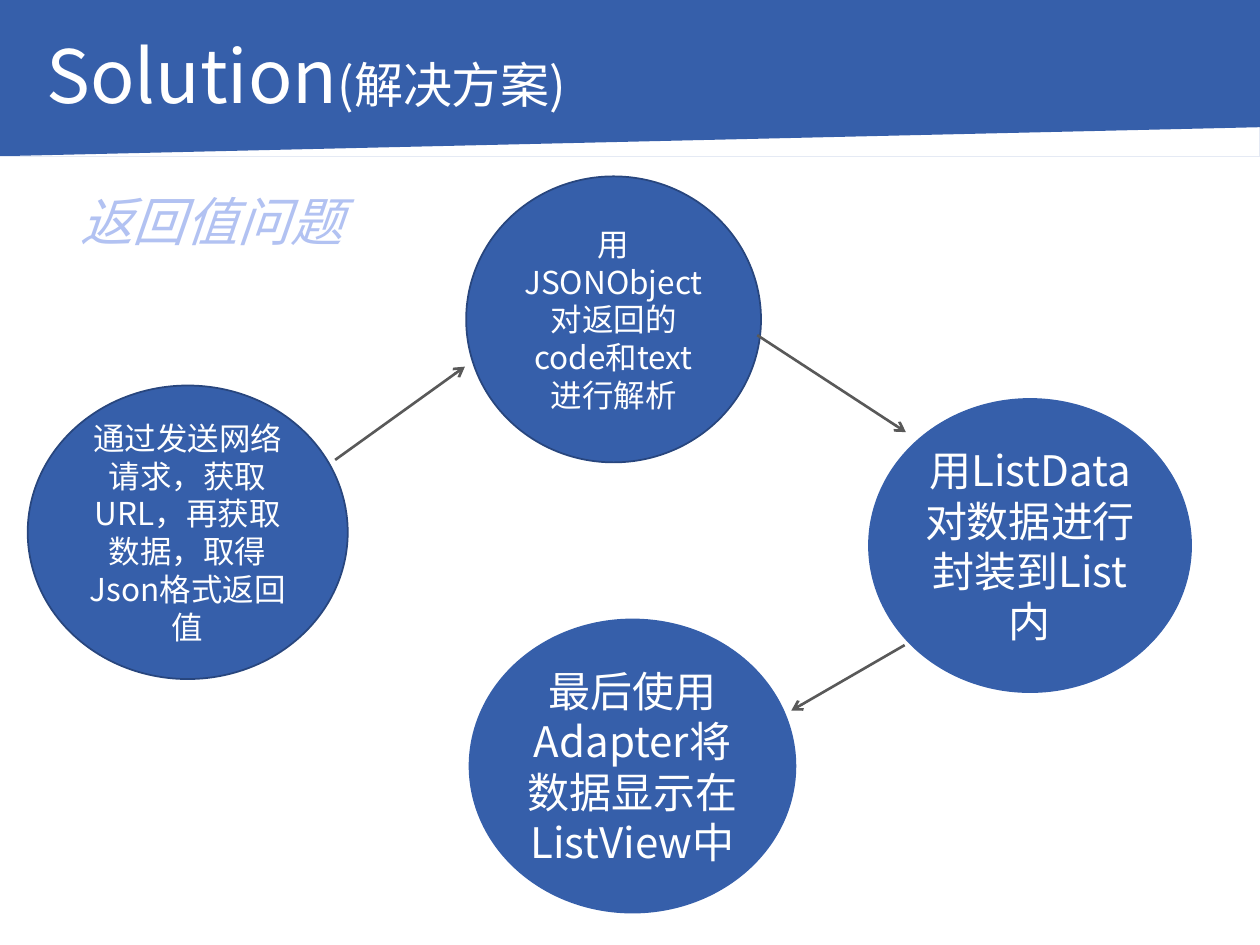
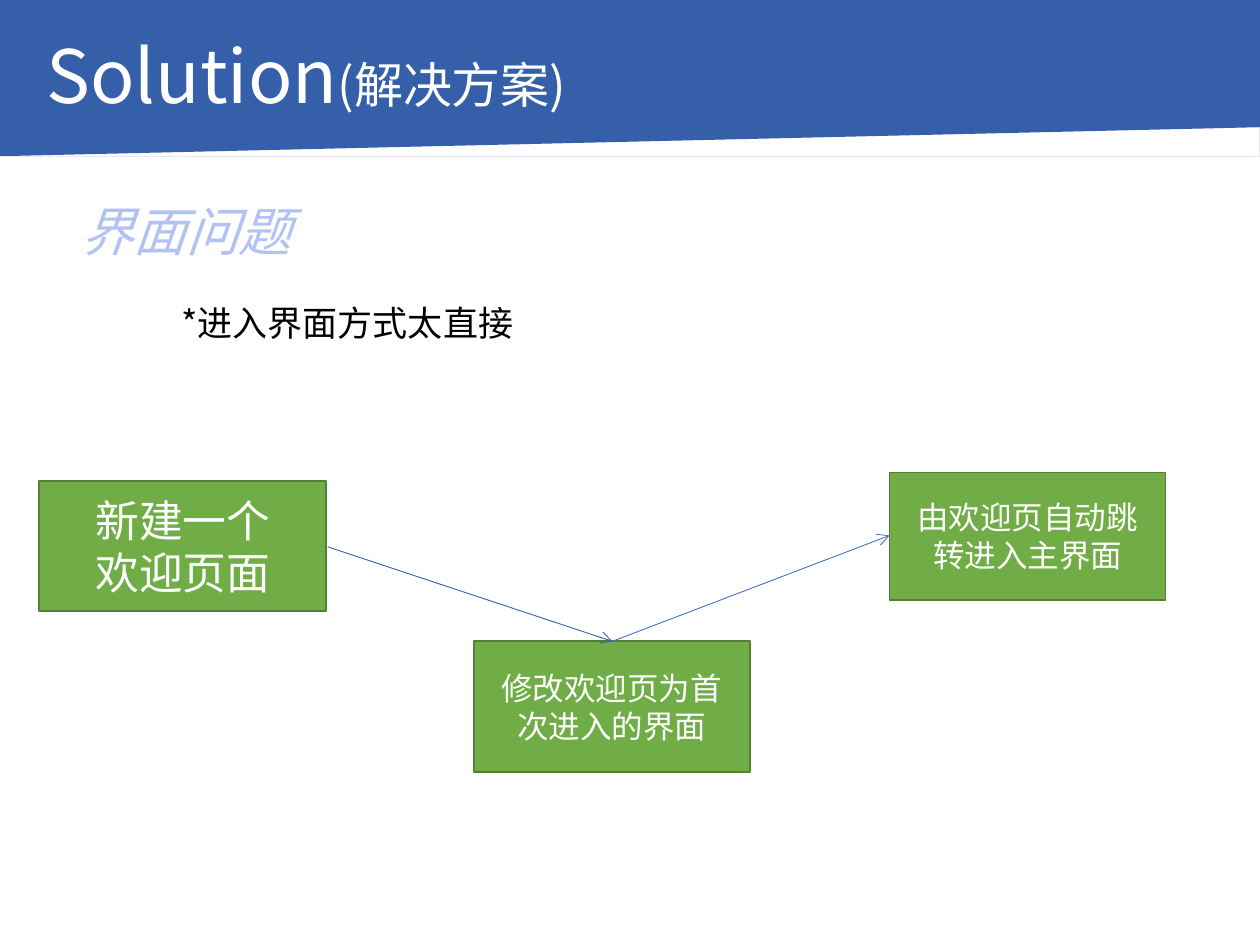
from pptx import Presentation
from pptx.dml.color import RGBColor
from pptx.enum.shapes import MSO_CONNECTOR, MSO_SHAPE
from pptx.enum.text import MSO_ANCHOR, PP_ALIGN
from pptx.oxml.ns import qn
from pptx.util import Inches, Pt
from lxml.etree import SubElement

FONT = "Noto Sans CJK SC"
BLUE = RGBColor(0x36, 0x5F, 0xAA)
DARK_BLUE = RGBColor(0x28, 0x46, 0x7E)
LINK_BLUE = RGBColor(0x44, 0x72, 0xC4)
PALE_BLUE = RGBColor(0xB2, 0xC2, 0xF2)
GREEN = RGBColor(0x70, 0xAD, 0x47)
DARK_GREEN = RGBColor(0x53, 0x80, 0x35)
GREY = RGBColor(0x59, 0x59, 0x59)
WHITE = RGBColor(0xFF, 0xFF, 0xFF)
BLACK = RGBColor(0, 0, 0)


def write(sp, paragraphs, color, align=PP_ALIGN.CENTER, italic=False):
    """Fill a shape with paragraphs, each a list of (text, size) runs."""
    tf = sp.text_frame
    tf.word_wrap = True
    for i, runs in enumerate(paragraphs):
        p = tf.add_paragraph() if i else tf.paragraphs[0]
        p.alignment = align
        for text, size in runs:
            r = p.add_run()
            r.text = text
            r.font.name, r.font.size = FONT, Pt(size)
            r.font.color.rgb = color
            r.font.italic = italic
            SubElement(r._r.rPr, qn("a:ea"), typeface=FONT)
    return tf


def add_arrow(s, start, end, color, width):
    """Draw a straight connector with an open arrowhead at its end."""
    line = s.shapes.add_connector(
        MSO_CONNECTOR.STRAIGHT, *[Inches(v) for v in (*start, *end)])
    line.line.color.rgb = color
    line.line.width = Pt(width)
    SubElement(line.line._get_or_add_ln(), qn("a:tailEnd"), type="arrow")
    SubElement(line._element.spPr, qn("a:effectLst"))


prs = Presentation()
prs.slide_width, prs.slide_height = Inches(10), Inches(7.5)

# Each node: preset, box, fill, outline, paragraphs, text inset
ellipse, rect = MSO_SHAPE.OVAL, MSO_SHAPE.RECTANGLE
slides = [
    {
        "texts": [([[("返回值问题", 30)]], (-0.7, 1.45, 4.76, 0.61),
                   PALE_BLUE, PP_ALIGN.CENTER, True)],
        "nodes": [
            (ellipse, (6.89, 3.16, 2.57, 2.34), BLUE, None,
             [[("用ListData对数据进行封装到List内", 24)]], 0),
            (ellipse, (3.72, 4.91, 2.6, 2.34), BLUE, None,
             [[("最后使用Adapter将数据显示在ListView中", 24)]], 0),
            (ellipse, (0.22, 3.06, 2.54, 2.33), BLUE, DARK_BLUE,
             [[("通过发送网络请求，获取URL，再获取数据，取得Json格式返回值", 18)]], None),
            (ellipse, (3.7, 1.4, 2.34, 2.27), BLUE, DARK_BLUE,
             [[("用JSONObject对返回的code和text进行解析", 18)]], None),
        ],
        "arrows": [
            ((2.66, 3.65), (3.69, 2.91), GREY, 1.5),
            ((6.01, 2.66), (7.19, 3.43), GREY, 1.5),
            ((7.18, 5.12), (6.28, 5.64), GREY, 1.5),
        ],
    },
    {
        "texts": [
            ([[("界面问题", 30)]], (0.54, 1.53, 1.88, 0.61),
             PALE_BLUE, PP_ALIGN.CENTER, True),
            ([[("*进入界面方式太直接", 20)]], (1.34, 2.34, 3.28, 0.44),
             BLACK, PP_ALIGN.LEFT, False),
        ],
        "nodes": [
            (rect, (0.31, 3.82, 2.28, 1.03), GREEN, DARK_GREEN,
             [[("新建一个", 25)], [("欢迎页面", 25)]], None),
            (rect, (3.76, 5.09, 2.19, 1.04), GREEN, DARK_GREEN,
             [[("修改欢迎页为首次进入的界面", 18)]], None),
            (rect, (7.06, 3.75, 2.19, 1.01), GREEN, DARK_GREEN,
             [[("由欢迎页自动跳转进入主界面", 18)]], None),
        ],
        "arrows": [
            ((2.6, 4.34), (4.86, 5.09), BLUE, 0.5),
            ((4.86, 5.09), (7.06, 4.25), LINK_BLUE, 0.5),
        ],
    },
]

for content in slides:
    s = prs.slides.add_slide(prs.slide_layouts[6])

    # Slanted header band, with a hairline closing its lower right corner
    outline = s.shapes.build_freeform(0, 0, scale=Inches(1) / 100)
    outline.add_line_segments(
        [(1000, 0), (1000, 124), (0, 124), (1000, 124), (1000, 101), (0, 124)])
    band = outline.convert_to_shape()
    band.shadow.inherit = False
    band.fill.solid()
    band.fill.fore_color.rgb = BLUE
    band.line.fill.background()

    title = s.shapes.add_textbox(
        *[Inches(v) for v in (0.27, 0.27, 9.09, 0.67)])
    tf = write(title, [[("Solution", 42), ("(解决方案)", 28)]], WHITE,
               PP_ALIGN.LEFT)
    tf.paragraphs[0].line_spacing = 0.9
    tf.paragraphs[0].space_before = Pt(10)

    for paragraphs, box, color, align, italic in content["texts"]:
        label = s.shapes.add_textbox(*[Inches(v) for v in box])
        write(label, paragraphs, color, align, italic)

    for preset, box, fill, edge, paragraphs, inset in content["nodes"]:
        sp = s.shapes.add_shape(preset, *[Inches(v) for v in box])
        sp.shadow.inherit = False
        sp.fill.solid()
        sp.fill.fore_color.rgb = fill
        if edge is None:
            sp.line.fill.background()
        else:
            sp.line.color.rgb = edge
            sp.line.width = Pt(1)
        tf = write(sp, paragraphs, WHITE)
        tf.vertical_anchor = MSO_ANCHOR.MIDDLE
        if inset is not None:
            tf.margin_left = tf.margin_right = Inches(inset)
            tf.margin_top = tf.margin_bottom = Inches(inset)

    for arrow in content["arrows"]:
        add_arrow(s, *arrow)

prs.save("out.pptx")
